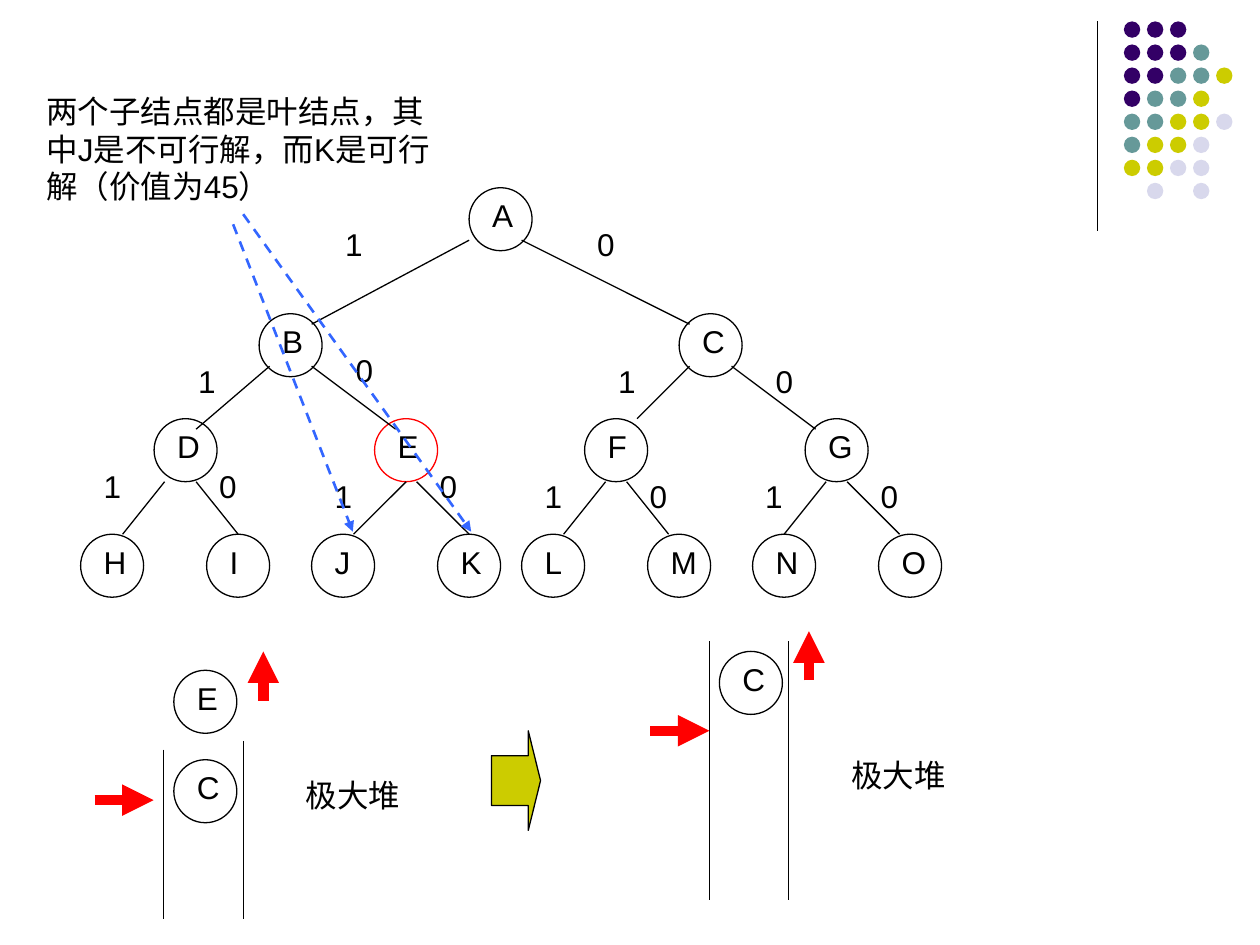
import dataclasses

import pptx
import pptx.dml.color
import pptx.enum.dml
import pptx.enum.shapes
import pptx.enum.text
import pptx.oxml
import pptx.oxml.ns
import pptx.util

SHAPE = pptx.enum.shapes.MSO_SHAPE
ALIGN = pptx.enum.text.PP_ALIGN
A_NS = pptx.oxml.ns.nsdecls("a")


@dataclasses.dataclass(frozen=True)
class Theme:
    font: str = "Arial"
    size: float = 18
    ink: str = "000000"
    red: str = "FF0000"
    blue: str = "3366FF"
    olive: str = "CCCC00"
    purple: str = "330066"
    teal: str = "669999"
    lilac: str = "D8D8EC"
    thin: float = 0.75
    medium: float = 1.5
    thick: float = 6


T = Theme()
W, H = 10, 7.5
NODE = 0.5             # node diameter
CELL = NODE / 6        # tree grid step
LABEL = (0.42, 0.4)    # box of a one-letter label

# Tree grid positions: node -> (column, row)
NODES = {
    "A": (37, 0), "B": (17, 12), "C": (57, 12),
    "D": (7, 22), "E": (28, 22), "F": (48, 22), "G": (69, 22),
    "H": (0, 33), "I": (12, 33), "J": (22, 33), "K": (34, 33),
    "L": (42, 33), "M": (54, 33), "N": (64, 33), "O": (76, 33),
}
# Edge start, edge end, branch value, label corner
EDGES = [
    ((37, 5), (22, 13), "1", (24, 3)), ((42, 5), (58, 13), "0", (48, 3)),
    ((18, 17), (11, 23), "1", (10, 16)), ((22, 17), (30, 23), "0", (25, 15)),
    ((58, 17), (53, 22), "1", (50, 16)), ((62, 17), (70, 23), "0", (65, 16)),
    ((8, 28), (4, 33), "1", (1, 26)), ((11, 28), (15, 33), "0", (12, 26)),
    ((31, 28), (26, 33), "1", (23, 27)), ((32, 28), (37, 33), "0", (33, 26)),
    ((50, 28), (46, 33), "1", (43, 27)), ((52, 28), (56, 33), "0", (53, 27)),
    ((71, 28), (67, 33), "1", (64, 27)), ((73, 28), (78, 33), "0", (75, 27)),
]
DOTS = ["PPP", "PPPT", "PPTTO", "PTTO", "TTOOL", "TOOL", "OOLL", " L L"]
DOT_COLORS = {"P": T.purple, "T": T.teal, "O": T.olive, "L": T.lilac}


def rgb(value):
    return pptx.dml.color.RGBColor.from_string(value)


def inches(*values):
    return [pptx.util.Inches(v) for v in values]


def set_attrs(obj, values):
    for name, value in values.items():
        setattr(obj, name, value)


def add_shape(s, kind, x, y, w, h, fill=None, line=None):
    sp = s.shapes.add_shape(kind, *inches(x, y, w, h))
    sp.shadow.inherit = False
    if fill:
        sp.fill.solid()
        sp.fill.fore_color.rgb = rgb(fill)
    else:
        sp.fill.background()
    if line:
        sp.line.color.rgb = rgb(line)
        sp.line.width = pptx.util.Pt(T.thin)
    else:
        sp.line.fill.background()
    return sp


def add_line(s, start, end, color=T.ink, width=T.thin, dash=False, arrow=False):
    kind = pptx.enum.shapes.MSO_CONNECTOR.STRAIGHT
    cn = s.shapes.add_connector(kind, *inches(*start, *end))
    cn.line.color.rgb = rgb(color)
    cn.line.width = pptx.util.Pt(width)
    if dash:
        cn.line.dash_style = pptx.enum.dml.MSO_LINE.DASH
    if arrow:
        tail = pptx.oxml.parse_xml(f'<a:tailEnd {A_NS} type="triangle"/>')
        cn.line._get_or_add_ln().append(tail)
    cn._element.spPr.append(pptx.oxml.parse_xml(f"<a:effectLst {A_NS}/>"))


def add_text(s, text, x, y, w, h, align=ALIGN.LEFT):
    tf = s.shapes.add_textbox(*inches(x, y, w, h)).text_frame
    fit = pptx.enum.text.MSO_AUTO_SIZE.SHAPE_TO_FIT_TEXT
    set_attrs(tf, {"word_wrap": True, "auto_size": fit})
    p = tf.paragraphs[0]
    p.alignment = align
    r = p.add_run()
    r.text = text
    set_attrs(r.font, {"name": T.font, "size": pptx.util.Pt(T.size)})
    r.font.color.rgb = rgb(T.ink)


def add_node(s, letter, x, y, color=T.ink):
    add_shape(s, SHAPE.OVAL, x, y, NODE, NODE, line=color)
    add_text(s, letter, x + CELL, y + 0.02, *LABEL)


def add_ornament(s, x, y):
    """Rule and dot pattern in the top right corner."""
    pitch, size = 0.183, 0.13
    add_line(s, (x, y), (x, y + 1.66))
    for row, marks in enumerate(DOTS):
        for col, mark in enumerate(marks):
            if mark in DOT_COLORS:
                add_shape(s, SHAPE.OVAL, x + 0.21 + col * pitch, y + row * pitch,
                          size, size, fill=DOT_COLORS[mark])


def add_tree(s, x, y):
    """Binary solution tree with branch values."""
    def at(cell):
        return x + cell[0] * CELL, y + cell[1] * CELL

    for letter, cell in NODES.items():
        add_node(s, letter, *at(cell), color=T.red if letter == "E" else T.ink)
    for start, end, _, _ in EDGES:
        add_line(s, at(start), at(end))
    for _, _, value, corner in EDGES:
        add_text(s, value, *at(corner), *LABEL)


def add_note(s, x, y):
    """Remark with dashed pointers to leaves J and K."""
    for start, end in [((1.58, 1.1), (2.53, 3.54)), ((1.66, 1.02), (3.47, 3.54))]:
        add_line(s, (x + start[0], y + start[1]), (x + end[0], y + end[1]),
                 T.blue, T.medium, dash=True, arrow=True)
    add_text(s, "两个子结点都是叶结点，其中J是不可行解，而K是可行解（价值为45）",
             x, y, 3.39, 1)


def add_heap(s, x, y, wall_tops, bottom, items, pointer):
    """Heap: x is its left wall, y the tip of the upward arrow."""
    width, length = 0.63, 0.47
    px, py = x + pointer[0], y + pointer[1]
    up = x + width + 0.16
    add_line(s, (px - length, py), (px, py), T.red, T.thick, arrow=True)
    add_line(s, (up, y + 0.39), (up, y), T.red, T.thick, arrow=True)
    add_text(s, "极大堆", x + 0.87, y + 0.94, 1.26, 0.4, ALIGN.CENTER)
    for wall, top in zip((x, x + width), wall_tops):
        add_line(s, (wall, y + top), (wall, y + bottom))
    for letter, top in items.items():
        add_node(s, letter, x + 0.08, y + top)


def add_step_arrow(s, x, y):
    """Block arrow between the two heap states."""
    sp = add_shape(s, SHAPE.RIGHT_ARROW, x, y, 0.39, 0.79, T.olive, T.ink)
    sp.adjustments[0], sp.adjustments[1] = 0.5, 0.25


def main():
    prs = pptx.Presentation()
    prs.slide_width, prs.slide_height = inches(W, H)
    s = prs.slides.add_slide(prs.slide_layouts[6])
    add_ornament(s, 8.71, 0.17)
    add_tree(s, 0.64, 1.49)
    add_note(s, 0.27, 0.68)
    add_step_arrow(s, 3.9, 5.8)
    add_heap(s, 5.63, 5.01, (0.08, 0.08), 2.13, {"C": 0.16}, (0, 0.79))
    add_heap(s, 1.3, 5.17, (0.78, 0.71), 2.12, {"E": 0.15, "C": 0.86}, (-0.08, 1.18))
    prs.save("out.pptx")


if __name__ == "__main__":
    main()
